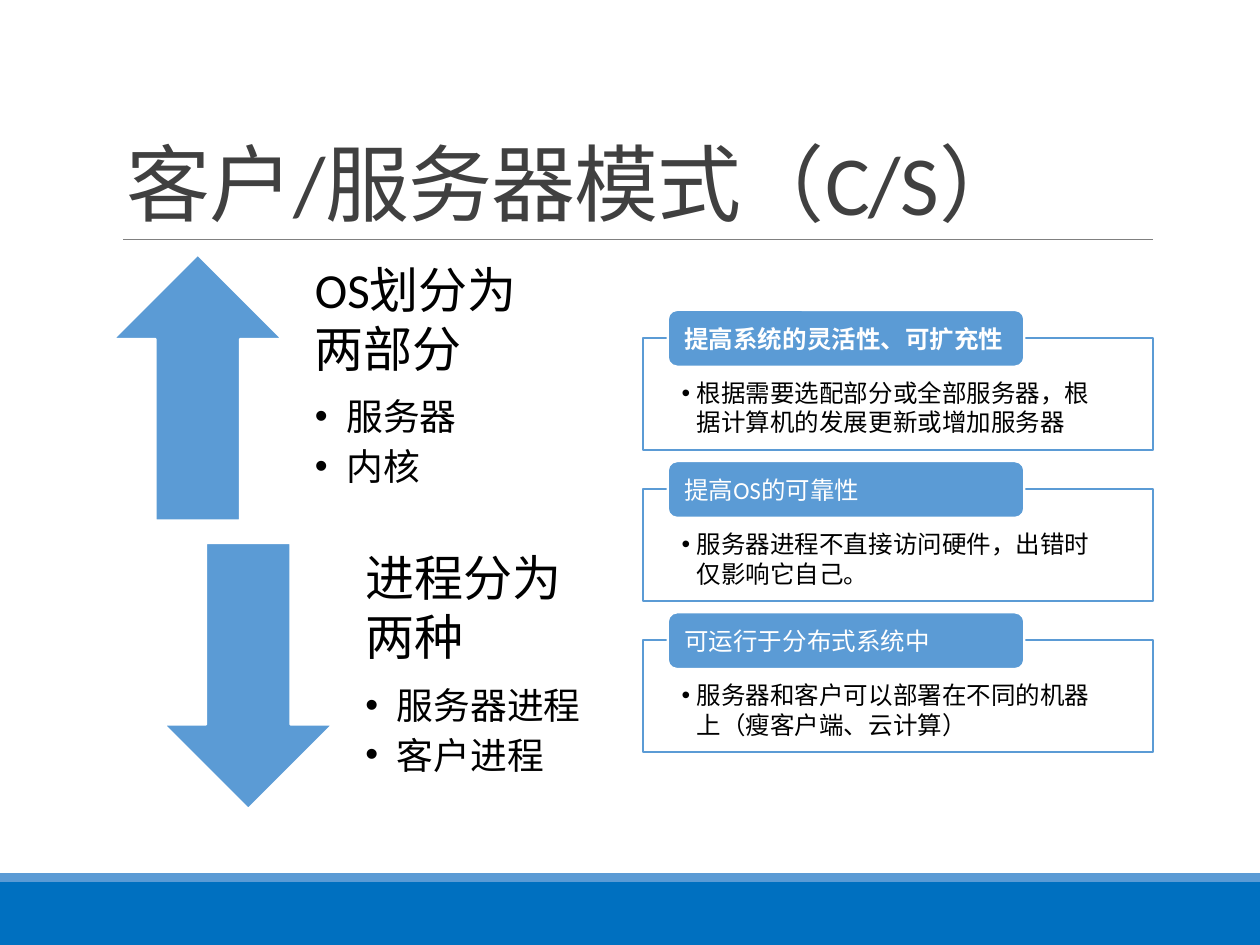
from dataclasses import dataclass

import pptx
import pptx.dml.color
import pptx.enum.dml
import pptx.enum.shapes
import pptx.enum.text
import pptx.util
from lxml import etree
from pptx.oxml.ns import qn

Inches = pptx.util.Inches
Pt = pptx.util.Pt
RGBColor = pptx.dml.color.RGBColor
Kind = pptx.enum.shapes.MSO_SHAPE
Anchor = pptx.enum.text.MSO_ANCHOR
Align = pptx.enum.text.PP_ALIGN

BLUE = RGBColor(0x5B, 0x9B, 0xD5)
DEEP = RGBColor(0x00, 0x70, 0xC0)
GRAY = RGBColor(0x80, 0x80, 0x80)
DARK = RGBColor(0x40, 0x40, 0x40)
WHITE = RGBColor(0xFF, 0xFF, 0xFF)
BLACK = RGBColor(0x00, 0x00, 0x00)
LATIN = "Calibri"
HAN = "Noto Sans CJK SC"


@dataclass
class Box:
    left: float
    top: float
    width: float
    height: float

    def emu(self) -> list:
        return [Inches(n) for n in (self.left, self.top, self.width, self.height)]


@dataclass
class Part:
    kind: Kind
    left: float
    top: float
    head: str
    items: tuple


@dataclass
class Card:
    head: str
    body: str
    font: str = LATIN
    bold: bool = False


PARTS = [
    Part(Kind.UP_ARROW, 0.9, 2.02, "OS划分为两部分", ("服务器", "内核")),
    Part(Kind.DOWN_ARROW, 1.3, 4.31, "进程分为两种", ("服务器进程", "客户进程")),
]
CARDS = [
    Card("提高系统的灵活性、可扩充性",
         "根据需要选配部分或全部服务器，根据计算机的发展更新或增加服务器", HAN, True),
    Card("提高OS的可靠性", "服务器进程不直接访问硬件，出错时仅影响它自己。"),
    Card("可运行于分布式系统中", "服务器和客户可以部署在不同的机器上（瘦客户端、云计算）"),
]


def apply(item, form: dict) -> None:
    for key, value in form.items():
        setattr(item, key, value)


def draw(slide, kind: Kind, box: Box, fill: RGBColor, line=None):
    shape = slide.shapes.add_shape(kind, *box.emu())
    shape.shadow.inherit = False
    shape.fill.solid()
    shape.fill.fore_color.rgb = fill
    if line is None:
        shape.line.fill.background()
    else:
        shape.line.color.rgb = line
        shape.line.width = Pt(1.25)
    return shape


def frame(shape, sides: tuple, anchor: Anchor):
    text = shape.text_frame
    names = ("margin_left", "margin_top", "margin_right", "margin_bottom")
    apply(text, dict(zip(names, map(Inches, sides))))
    apply(text, {"word_wrap": True, "vertical_anchor": anchor})
    return text


def write(para, words: str, size: float, color: RGBColor, after: float,
          font: str = LATIN, bold: bool = False, indent: float = 0) -> None:
    apply(para, {"alignment": Align.LEFT, "space_after": Pt(after)})
    run = para.add_run()
    run.text = words
    apply(run.font, {"name": font, "size": Pt(size), "bold": bold})
    run.font.color.rgb = color
    if indent:
        prop = para._p.get_or_add_pPr()
        prop.set("marL", str(Inches(indent)))
        prop.set("indent", str(-Inches(indent)))
        etree.SubElement(prop, qn("a:buFont")).set("typeface", "Arial")
        etree.SubElement(prop, qn("a:buChar")).set("char", "•")


def draw_part(slide, part: Part) -> None:
    draw(slide, part.kind, Box(part.left, part.top, 1.34, 2.11), BLUE, WHITE)
    box = Box(part.left + 1.38, part.top, 2.27, 2.11)
    text = frame(slide.shapes.add_textbox(*box.emu()), (0.22, 0, 0.22, 0.22), Anchor.MIDDLE)
    write(text.paragraphs[0], part.head, 28, BLACK, 9.8)
    for item in part.items:
        write(text.add_paragraph(), item, 21, BLACK, 3.15, indent=0.25)


def draw_card(slide, card: Card, top: float) -> None:
    panel = draw(slide, Kind.RECTANGLE, Box(5.1, top, 4.05, 0.89), WHITE, BLUE)
    tone = panel.fill._xPr.find(qn("a:solidFill"))[0]
    etree.SubElement(tone, qn("a:alpha")).set("val", "90000")
    text = frame(panel, (0.31, 0.32, 0.31, 0.11), Anchor.TOP)
    write(text.paragraphs[0], card.body, 14, BLACK, 2.1, card.font, indent=0.12)
    label = draw(slide, Kind.ROUNDED_RECTANGLE, Box(5.3, top - 0.22, 2.83, 0.45), BLUE, WHITE)
    text = frame(label, (0.11, 0, 0.11, 0), Anchor.MIDDLE)
    write(text.paragraphs[0], card.head, 14, WHITE, 4.9, card.font, card.bold)


def draw_title(slide) -> None:
    title = slide.shapes.title
    names = ("left", "top", "width", "height")
    apply(title, dict(zip(names, Box(0.9, 0.31, 8.25, 1.59).emu())))
    text = frame(title, (0.1, 0.05, 0.1, 0.05), Anchor.BOTTOM)
    text.auto_size = pptx.enum.text.MSO_AUTO_SIZE.NONE
    para = text.paragraphs[0]
    write(para, "客户/服务器模式（C/S）", 48, DARK, 0)
    para.line_spacing = 0.85
    para.runs[0]._r.get_or_add_rPr().set("spc", "-50")


def draw_rule(slide) -> None:
    ends = [Inches(n) for n in (0.98, 1.9, 9.15, 1.9)]
    rule = slide.shapes.add_connector(pptx.enum.shapes.MSO_CONNECTOR.STRAIGHT, *ends)
    rule.line.color.rgb = GRAY
    rule.line.width = Pt(0.5)
    etree.SubElement(rule._element.spPr, qn("a:effectLst"))


def main() -> None:
    deck = pptx.Presentation()
    apply(deck, {"slide_width": Inches(10), "slide_height": Inches(7.5)})
    slide = deck.slides.add_slide(deck.slide_layouts[5])
    draw(slide, Kind.RECTANGLE, Box(0, 7, 10, 0.5), DEEP)
    draw(slide, Kind.RECTANGLE, Box(0, 6.93, 10, 0.07), BLUE)
    draw_rule(slide)
    draw_title(slide)
    for part in PARTS:
        draw_part(slide, part)
    for index, card in enumerate(CARDS):
        draw_card(slide, card, 2.68 + 1.2 * index)
    deck.save("out.pptx")


if __name__ == "__main__":
    main()
